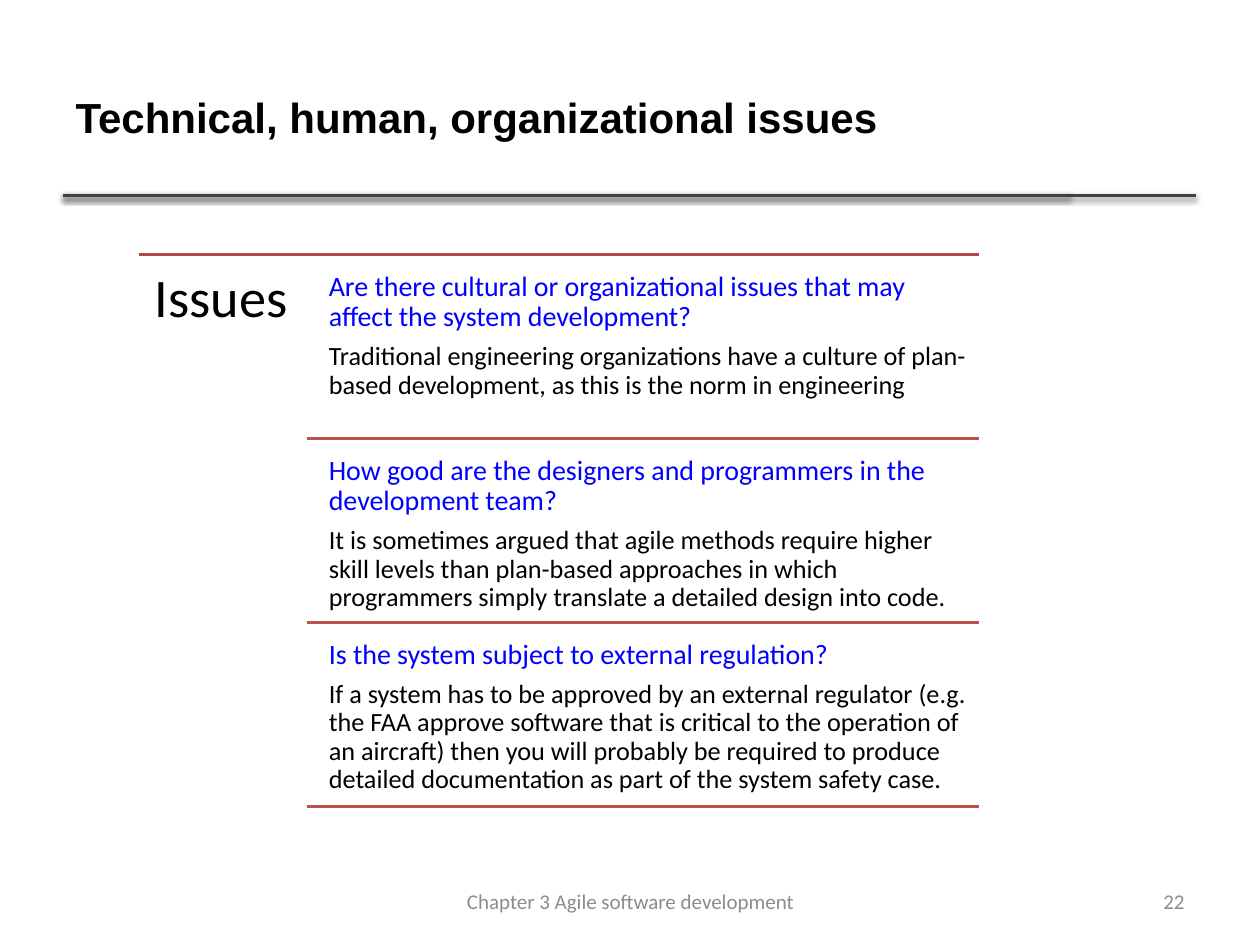
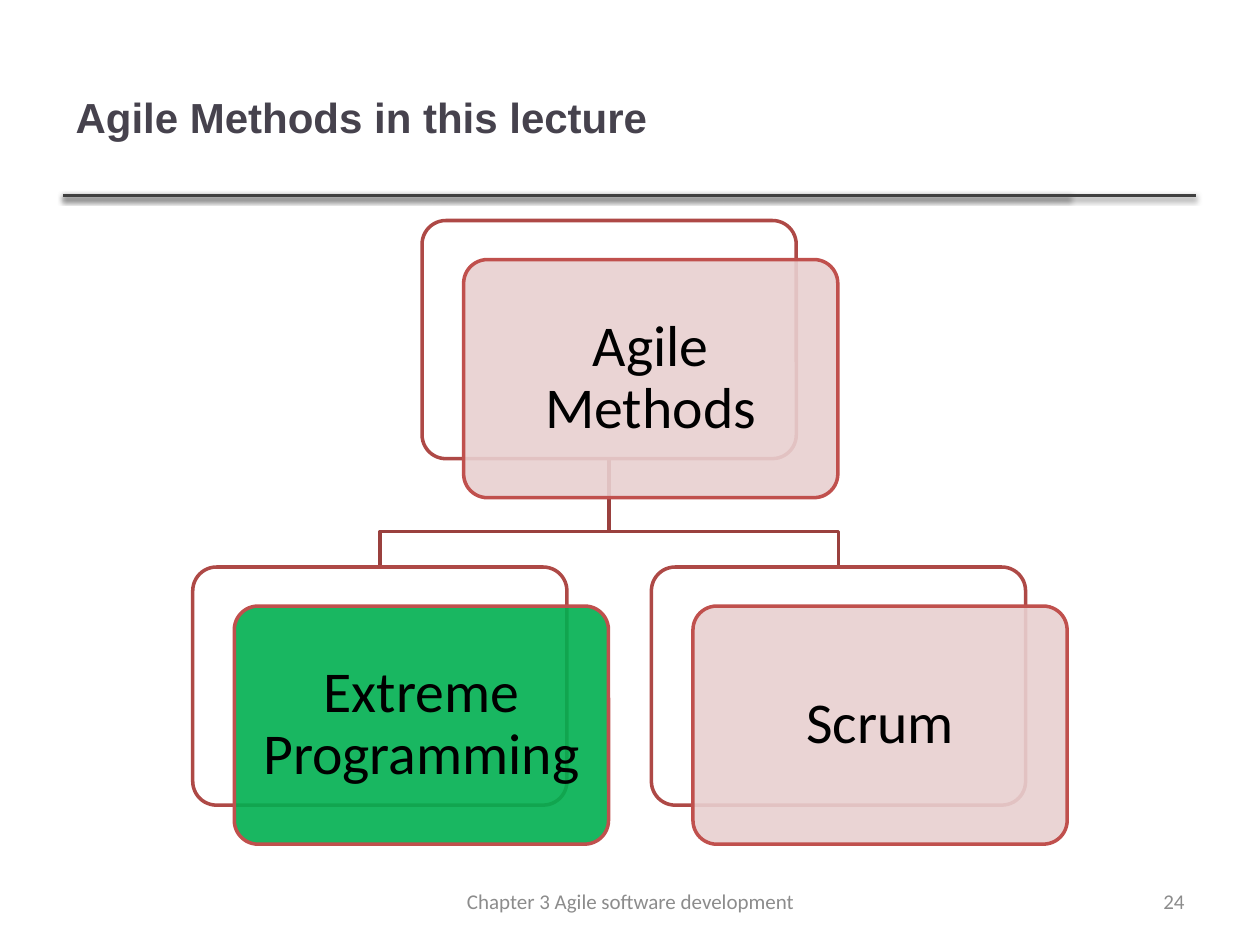
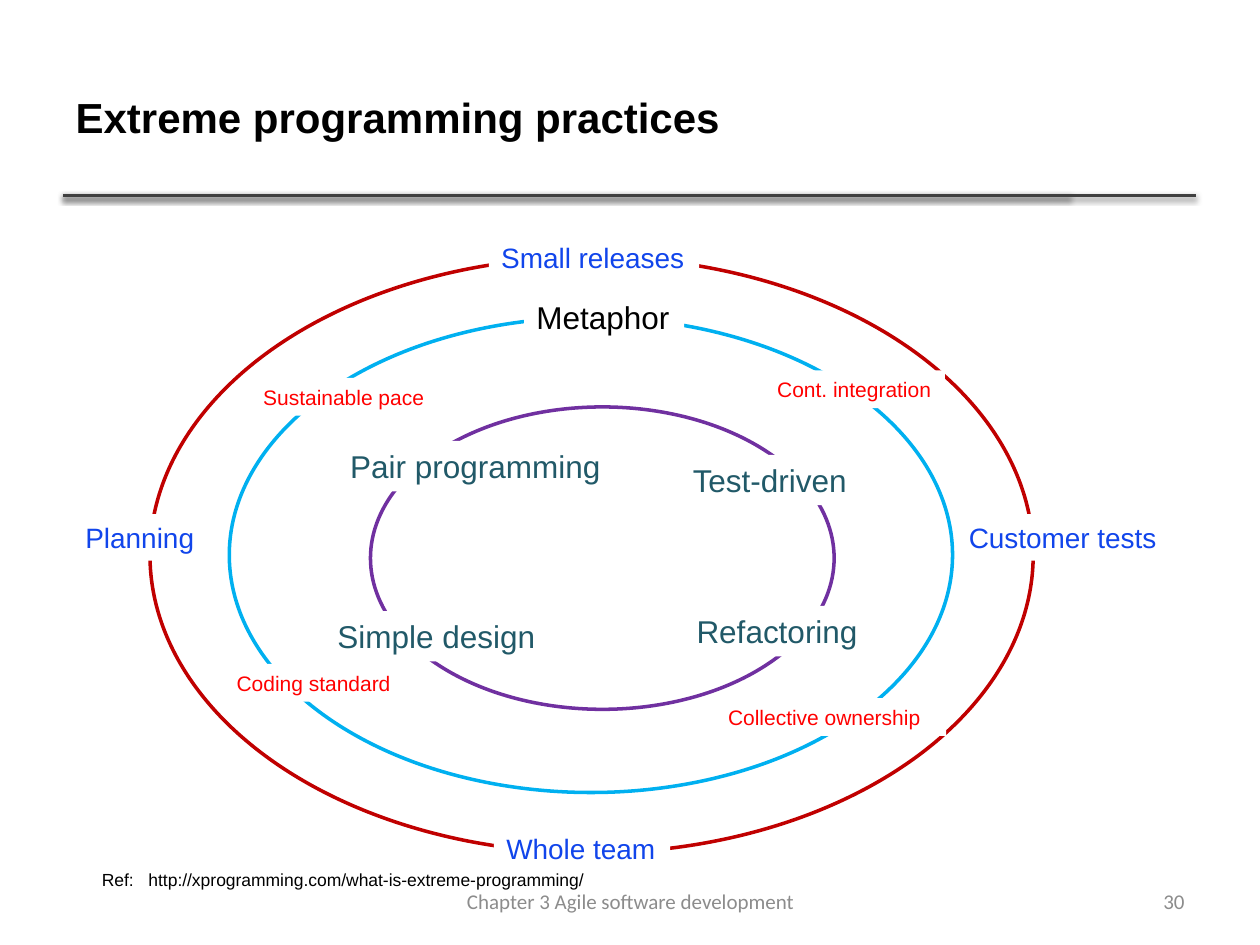
"""Build three lecture slides on agile methods, laid out on a grid of 100 columns by 75 rows."""
from lxml.etree import SubElement
from pptx import Presentation
from pptx.dml.color import RGBColor
from pptx.enum.shapes import MSO_CONNECTOR, MSO_SHAPE
from pptx.enum.text import MSO_ANCHOR, PP_ALIGN
from pptx.oxml.ns import qn
from pptx.util import Inches, Pt

COLS, ROWS = 100, 75
SLIDE_W, SLIDE_H = Inches(10), Inches(7.5)

BLACK = RGBColor(0x00, 0x00, 0x00)
WHITE = RGBColor(0xFF, 0xFF, 0xFF)
SLATE = RGBColor(0x46, 0x42, 0x4D)
RULE_GREY = RGBColor(0x40, 0x40, 0x40)
FOOTER_GREY = RGBColor(0x8C, 0x8C, 0x8C)
BRICK = RGBColor(0xC0, 0x50, 0x4D)
DARK_BRICK = RGBColor(0xAE, 0x49, 0x46)
LINK_BRICK = RGBColor(0x9A, 0x40, 0x3E)
PINK = RGBColor(0xE8, 0xD0, 0xD0)
GREEN = RGBColor(0x00, 0xB0, 0x50)
QUESTION_BLUE = RGBColor(0x00, 0x00, 0xFF)
TEAM_BLUE = RGBColor(0x11, 0x45, 0xEB)
TEAL = RGBColor(0x21, 0x59, 0x68)
RED = RGBColor(0xFF, 0x00, 0x00)
DARK_RED = RGBColor(0xC0, 0x00, 0x00)
SKY = RGBColor(0x00, 0xB0, 0xF0)
PURPLE = RGBColor(0x70, 0x30, 0xA0)

FOOTER = "Chapter 3 Agile software development"
ISSUES = [
    ("Are there cultural or organizational issues that may affect the system development?",
     "Traditional engineering organizations have a culture of plan-based development, "
     "as this is the norm in engineering"),
    ("How good are the designers and programmers in the development team?",
     "It is sometimes argued that agile methods require higher skill levels than plan-based "
     "approaches in which programmers simply translate a detailed design into code."),
    ("Is the system subject to external regulation?",
     "If a system has to be approved by an external regulator (e.g. the FAA approve software "
     "that is critical to the operation of an aircraft) then you will probably be required to "
     "produce detailed documentation as part of the system safety case."),
]
NODE_W, NODE_H = 29.7, 18.9
SHIFT_X, SHIFT_Y = 3.3, 3.1
ROOT = (33.5, 17.5, "Agile Methods", PINK)
METHODS = [(15.3, 45, "Extreme Programming", GREEN), (51.7, 45, "Scrum", PINK)]
RINGS = [
    (11.9, 20.4, 70.1, 47.3, DARK_RED),
    (18.2, 25.2, 57.4, 37.7, SKY),
    (29.4, 32.3, 36.8, 24, PURPLE),
]
PRACTICES = [
    (16, 3.7, TEAM_BLUE, [
        (39.2, 65.5, 14, "Whole team"), (38.8, 18.6, 16.7, "Small releases"),
        (5.8, 40.8, 10.7, "Planning"), (75.9, 40.8, 17.1, "Customer tests")]),
    (12, 3, RED, [
        (19.9, 30, 14.9, "Sustainable pace"), (60.7, 29.4, 14.3, "Cont. integration"),
        (56.8, 55.4, 18.3, "Collective ownership"), (17.8, 52.7, 14.3, "Coding standard")]),
    (18, 4, TEAL, [
        (54.3, 48.1, 15.6, "Refactoring"), (54, 36.1, 14.4, "Test-driven"),
        (25.8, 48.5, 17.9, "Simple design"), (26.8, 35, 22.1, "Pair programming")]),
    (18, 4, BLACK, [(41.6, 23.2, 12.7, "Metaphor")]),
]


def x(cols):
    """Turn grid columns into a length."""
    return round(SLIDE_W * cols / COLS)


def y(rows):
    """Turn grid rows into a length."""
    return round(SLIDE_H * rows / ROWS)


def area(left, top, width, height):
    """Turn a grid area into left, top, width and height."""
    return x(left), y(top), x(width), y(height)


def write(tf, text, size=12, color=BLACK, font="Calibri", bold=False,
          align=PP_ALIGN.LEFT, spacing=None, after=0):
    """Fill the first empty paragraph, or add one, with formatted text."""
    p = tf.paragraphs[0] if not tf.text else tf.add_paragraph()
    p.alignment = align
    p.line_spacing = spacing
    p.space_after = Pt(round(size * after))
    r = p.add_run()
    r.text = text
    r.font.size, r.font.name, r.font.bold = Pt(size), font, bold
    r.font.color.rgb = color
    return p


def set_frame(tf, anchor=MSO_ANCHOR.TOP, margin=None, wrap=True):
    """Set wrapping, anchor and an equal margin in inches."""
    tf.word_wrap, tf.vertical_anchor = wrap, anchor
    if margin is not None:
        tf.margin_left = tf.margin_right = tf.margin_top = tf.margin_bottom = Inches(margin)
    return tf


def add_text(slide, place, text, anchor=MSO_ANCHOR.TOP, margin=None, wrap=True,
             fill=None, **fmt):
    """Add a text box with one paragraph, optionally on a plain fill."""
    sp = slide.shapes.add_textbox(*area(*place))
    if fill is not None:
        sp.fill.solid()
        sp.fill.fore_color.rgb = fill
    tf = set_frame(sp.text_frame, anchor, margin, wrap)
    write(tf, text, **fmt)
    return tf


def add_rule(slide, left, right, row, color, shadow=False):
    """Add a horizontal line, with a soft shadow below it if asked."""
    line = slide.shapes.add_connector(MSO_CONNECTOR.STRAIGHT, x(left), y(row), x(right), y(row))
    line.line.color.rgb = color
    line.line.width = Pt(2)
    effects = SubElement(line.element.spPr, qn("a:effectLst"))
    if shadow:
        outer = SubElement(effects, qn("a:outerShdw"), blurRad=str(Pt(3.1)), dist=str(Pt(1.6)),
                           dir="5400000", rotWithShape="0")
        tone = SubElement(outer, qn("a:srgbClr"), val=str(BLACK))
        SubElement(tone, qn("a:alpha"), val="38000")


def add_outline(slide, preset, place, line, fill=WHITE, alpha=100):
    """Add a preset shape with a two-point outline."""
    sp = slide.shapes.add_shape(preset, *area(*place))
    sp.shadow.inherit = False
    sp.fill.solid()
    sp.fill.fore_color.rgb = fill
    sp.line.color.rgb = line
    sp.line.width = Pt(2)
    if alpha < 100:
        tone = sp.element.spPr.find(qn("a:solidFill")).find(qn("a:srgbClr"))
        SubElement(tone, qn("a:alpha"), val=str(alpha * 1000))
    return sp


def add_slide(prs, title, number, color=BLACK):
    """Add a slide with its title, double rule, footer and number."""
    slide = prs.slides.add_slide(prs.slide_layouts[5])
    for right in (84.9, 94.9):
        add_rule(slide, 5, right, 15.5, RULE_GREY, shadow=True)
    sp = slide.shapes.title
    sp.left, sp.top, sp.width, sp.height = area(5, 3, 79.8, 12.5)
    write(set_frame(sp.text_frame, MSO_ANCHOR.MIDDLE), title, size=24, color=color,
          font="Arial", bold=True)
    for place, text, align in (((34.2, 69.5, 31.7, 4), FOOTER, PP_ALIGN.CENTER),
                               ((71.7, 69.5, 23.3, 4), str(number), PP_ALIGN.RIGHT)):
        add_text(slide, place, text, MSO_ANCHOR.MIDDLE, color=FOOTER_GREY, align=align)
    return slide


def add_issues(slide):
    """Add the heading and the ruled list of questions."""
    top, pitch, right = 20.2, 14.6, 77.7
    add_rule(slide, 11, right, top, DARK_BRICK)
    add_text(slide, (11, top, 13.3, 44.4), "Issues", margin=0.13, size=31, spacing=0.9)
    for i, (question, answer) in enumerate(ISSUES):
        row = top + i * pitch
        tf = add_text(slide, (25.4, row + 0.7, 52.3, 13.9), question, margin=0.07, size=16,
                      color=QUESTION_BLUE, spacing=0.9, after=0.35)
        write(tf, answer, size=15, spacing=0.9, after=0.35)
        add_rule(slide, 24.4, right, row + pitch, BRICK)


def add_node(slide, left, top, text, fill):
    """Add a tree node: an outlined card behind a shifted, tinted one."""
    add_outline(slide, MSO_SHAPE.ROUNDED_RECTANGLE, (left, top, NODE_W, NODE_H),
                DARK_BRICK).adjustments[0] = 0.1
    card = add_outline(slide, MSO_SHAPE.ROUNDED_RECTANGLE,
                       (left + SHIFT_X, top + SHIFT_Y, NODE_W, NODE_H), BRICK, fill, alpha=90)
    card.adjustments[0] = 0.1
    write(set_frame(card.text_frame, MSO_ANCHOR.MIDDLE, 0.14), text, size=33,
          align=PP_ALIGN.CENTER, spacing=0.9)


def add_branch(slide, parent, child):
    """Add an elbow line from the foot of one node to the head of another."""
    start_x, start_y = parent[0] + NODE_W / 2, parent[1] + NODE_H
    end_x, end_y = child[0] + NODE_W / 2, child[1]
    bend = end_y - 2.8
    builder = slide.shapes.build_freeform(x(start_x), y(start_y))
    builder.add_line_segments([(x(start_x), y(bend)), (x(end_x), y(bend)),
                               (x(end_x), y(end_y))], close=False)
    sp = builder.convert_to_shape()
    sp.shadow.inherit = False
    sp.fill.background()
    sp.line.color.rgb = LINK_BRICK
    sp.line.width = Pt(2)


def add_tree(slide):
    """Add the tree of agile methods."""
    for method in reversed(METHODS):
        add_branch(slide, ROOT, method)
    for node in (ROOT, *METHODS):
        add_node(slide, *node)


def add_practices(slide):
    """Add the rings, their labels and the reference."""
    for *place, color in RINGS:
        add_outline(slide, MSO_SHAPE.OVAL, place, color)
    for size, height, color, labels in PRACTICES:
        for left, top, width, text in labels:
            add_text(slide, (left, top, width, height), text, wrap=False, fill=WHITE,
                     size=size, color=color, font="Arial")
    tf = add_text(slide, (7.1, 68.5, 50, 2.7),
                  "Ref:\thttp://xprogramming.com/what-is-extreme-programming/",
                  size=10, font="Arial")
    stops = SubElement(tf.paragraphs[0]._p.get_or_add_pPr(), qn("a:tabLst"))
    SubElement(stops, qn("a:tab"), pos=str(x(3.7)), algn="l")


def main():
    """Build and save the presentation."""
    prs = Presentation()
    prs.slide_width, prs.slide_height = SLIDE_W, SLIDE_H
    add_issues(add_slide(prs, "Technical, human, organizational issues", 22))
    add_tree(add_slide(prs, "Agile Methods in this lecture", 24, SLATE))
    add_practices(add_slide(prs, "Extreme programming practices", 30))
    prs.save("out.pptx")


if __name__ == "__main__":
    main()
